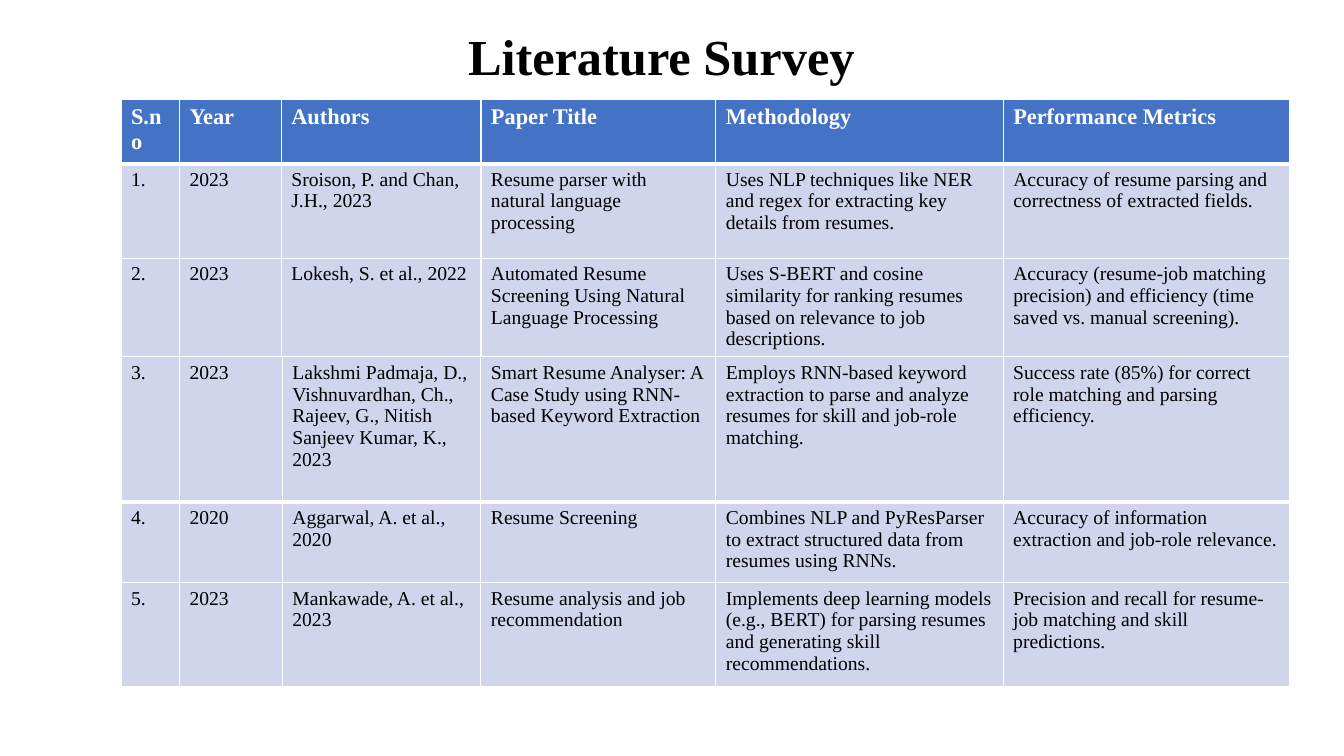
import pptx
import pptx.util
import pptx.dml.color
import pptx.enum.text
import lxml.etree
import pptx.oxml.ns

Inches, Pt = pptx.util.Inches, pptx.util.Pt
BLACK = pptx.dml.color.RGBColor(0x00, 0x00, 0x00)
WHITE = pptx.dml.color.RGBColor(0xFF, 0xFF, 0xFF)
HEADER_BLUE = pptx.dml.color.RGBColor(0x44, 0x72, 0xC4)
BODY_BLUE = pptx.dml.color.RGBColor(0xCF, 0xD5, 0xEA)
FONT = "Times New Roman"
THIN, THICK = Pt(1), Pt(3)

HEADINGS = ["S.no", "Year", "Authors", "Paper Title", "Methodology", "Performance Metrics"]
PAPERS = [
    ["1.", "2023", "Sroison, P. and Chan, J.H., 2023",
     "Resume parser with natural language processing",
     "Uses NLP techniques like NER and regex for extracting key details from resumes.",
     "Accuracy of resume parsing and correctness of extracted fields."],
    ["2.", "2023", "Lokesh, S. et al., 2022",
     "Automated Resume Screening Using Natural Language Processing",
     "Uses S-BERT and cosine similarity for ranking resumes based on relevance to job descriptions.",
     "Accuracy (resume-job matching precision) and efficiency (time saved vs. manual screening)."],
    ["3.", "2023",
     "Lakshmi Padmaja, D., Vishnuvardhan, Ch., Rajeev, G., Nitish Sanjeev Kumar, K., 2023",
     "Smart Resume Analyser: A Case Study using RNN-based Keyword Extraction",
     "Employs RNN-based keyword extraction to parse and analyze resumes for skill and job-role matching.",
     "Success rate (85%) for correct role matching and parsing efficiency."],
    ["4.", "2020", "Aggarwal, A. et al., 2020",
     "Resume Screening",
     "Combines NLP and PyResParser to extract structured data from resumes using RNNs.",
     "Accuracy of information extraction and job-role relevance."],
    ["5.", "2023", "Mankawade, A. et al., 2023",
     "Resume analysis and job recommendation",
     "Implements deep learning models (e.g., BERT) for parsing resumes and generating skill recommendations.",
     "Precision and recall for resume-job matching and skill predictions."],
]

# Each table: top, height, column widths, row heights, rows of text
TABLES = [
    (0.99, 2.79, [0.58, 1.01, 1.98, 2.33, 2.85, 2.84], [0.39, 0.94, 1.22],
     [HEADINGS] + PAPERS[:2]),
    (3.54, 3.28, [0.58, 1.02, 1.97, 2.33, 2.85, 2.84], [1.44, 0.77, 0.77],
     PAPERS[2:]),
]


def add_span(para, text, size, color, bold):
    span = para.add_run()
    span.text = text
    span.font.name = FONT
    span.font.size = Pt(size)
    span.font.bold = bold
    span.font.color.rgb = color


def add_border(cell, side, width):
    properties = cell._tc.get_or_add_tcPr()
    line = lxml.etree.SubElement(properties, pptx.oxml.ns.qn("a:ln" + side), w=str(width))
    fill = lxml.etree.SubElement(line, pptx.oxml.ns.qn("a:solidFill"))
    lxml.etree.SubElement(fill, pptx.oxml.ns.qn("a:srgbClr"), val=str(WHITE))


deck = pptx.Presentation()
deck.slide_width, deck.slide_height = Inches(13.33), Inches(7.5)
page = deck.slides.add_slide(deck.slide_layouts[6])

# Title
box = page.shapes.add_textbox(Inches(0.92), Inches(0.19), Inches(11.28), Inches(0.79))
box.text_frame.word_wrap = True
box.text_frame.vertical_anchor = pptx.enum.text.MSO_ANCHOR.MIDDLE
para = box.text_frame.paragraphs[0]
para.alignment = pptx.enum.text.PP_ALIGN.CENTER
para.line_spacing = 0.9
add_span(para, "Literature Survey", 36, BLACK, True)

# Survey tables, the second one continuing the first
for top, height, widths, heights, rows in TABLES:
    frame = page.shapes.add_table(len(rows), len(widths), Inches(1.2), Inches(top),
                                  Inches(sum(widths)), Inches(height))
    table = frame.table
    table.first_row = table.horz_banding = False
    for column, width in zip(table.columns, widths):
        column.width = Inches(width)
    for r, (row, row_height) in enumerate(zip(rows, heights)):
        table.rows[r].height = Inches(row_height)
        heading = row is HEADINGS
        for cell, text in zip(table.rows[r].cells, row):
            # A thick rule parts the first row from the rest
            add_border(cell, "L", THIN)
            add_border(cell, "R", THIN)
            add_border(cell, "T", THICK if r == 1 else THIN)
            add_border(cell, "B", THICK if r == 0 else THIN)
            cell.fill.solid()
            cell.fill.fore_color.rgb = HEADER_BLUE if heading else BODY_BLUE
            add_span(cell.text_frame.paragraphs[0], text, 16 if heading else 14,
                     WHITE if heading else BLACK, heading)

deck.save("out.pptx")
